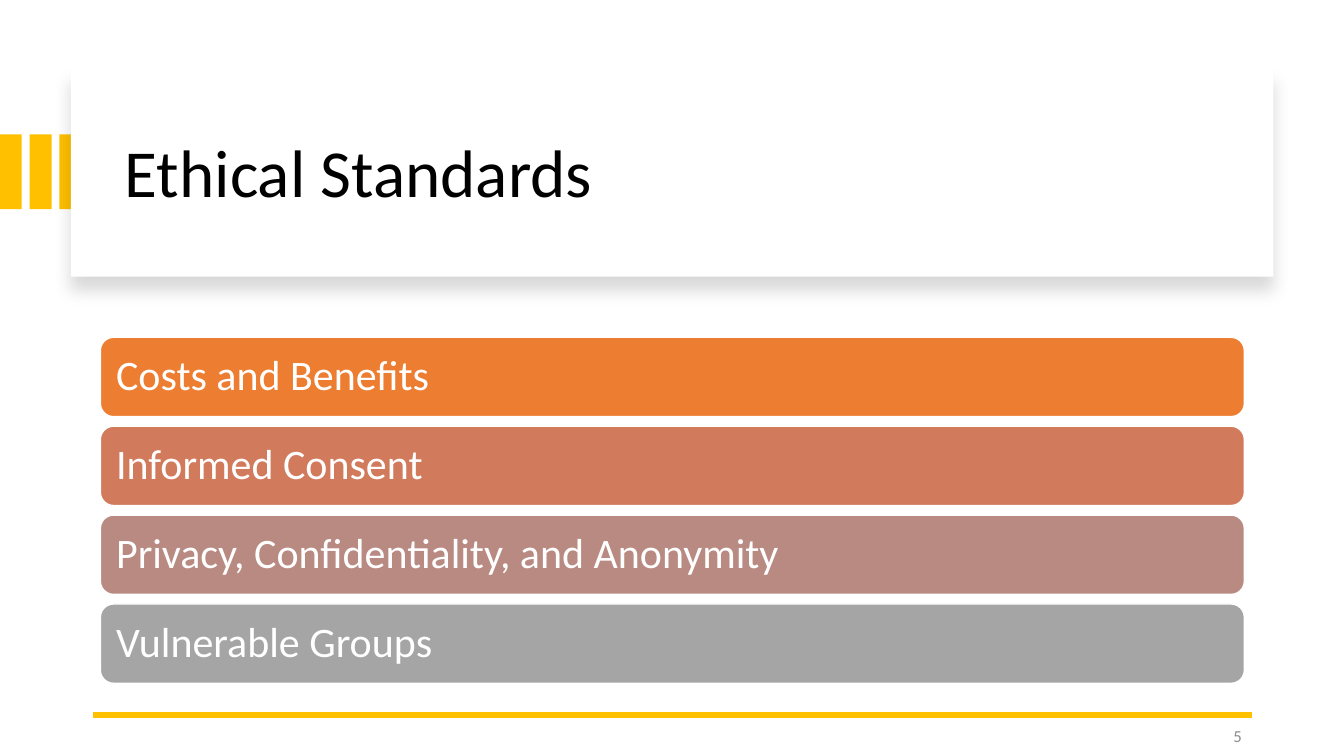
from dataclasses import dataclass

from lxml.etree import SubElement
from pptx import Presentation
from pptx.dml.color import RGBColor
from pptx.enum.shapes import MSO_CONNECTOR, MSO_SHAPE
from pptx.enum.text import MSO_ANCHOR, MSO_AUTO_SIZE, PP_ALIGN
from pptx.oxml.ns import qn
from pptx.util import Cm, Pt


@dataclass(frozen=True)
class Theme:
    font: str = "Calibri"
    accent: str = "FFC000"
    paper: str = "FFFFFF"
    ink: str = "000000"
    muted: str = "8C8C8C"
    title_size: int = 48
    standard_size: int = 30
    number_size: int = 12


STANDARDS = [
    ("Costs and Benefits", "ED7D31"),
    ("Informed Consent", "D17B5C"),
    ("Privacy, Confidentiality, and Anonymity", "B98A82"),
    ("Vulnerable Groups", "A5A5A5"),
]


def write_text(shape, text, size, color, font, align=PP_ALIGN.LEFT,
               inset=(0.25, 0.13), line_spacing=0.9):
    """Fill a shape with one vertically centred paragraph; inset is (sides, top and bottom) in cm."""
    frame = shape.text_frame
    frame.word_wrap = True
    frame.auto_size = MSO_AUTO_SIZE.NONE
    frame.vertical_anchor = MSO_ANCHOR.MIDDLE
    frame.margin_left = frame.margin_right = Cm(inset[0])
    frame.margin_top = frame.margin_bottom = Cm(inset[1])
    para = frame.paragraphs[0]
    para.alignment = align
    para.line_spacing = line_spacing
    span = para.add_run()
    span.text = text
    span.font.name = font
    span.font.size = Pt(size)
    span.font.color.rgb = RGBColor.from_string(color)


def add_soft_shadow(shape, color):
    effects = shape.element.spPr.find(qn("a:effectLst"))
    shadow = SubElement(effects, qn("a:outerShdw"), blurRad=str(Pt(11)),
                        dist=str(Pt(10)), dir="5400000", algn="t", rotWithShape="0")
    tint = SubElement(shadow, qn("a:srgbClr"), val=color)
    SubElement(tint, qn("a:alpha"), val="15000")


class SlideBuilder:
    def __init__(self, page, theme):
        self.page = page
        self.theme = theme

    def block(self, left, top, width, height, fill, kind=MSO_SHAPE.RECTANGLE, outline=None):
        box = self.page.shapes.add_shape(kind, Cm(left), Cm(top), Cm(width), Cm(height))
        box.shadow.inherit = False
        box.fill.solid()
        box.fill.fore_color.rgb = RGBColor.from_string(fill)
        if outline:
            box.line.color.rgb = RGBColor.from_string(outline)
            box.line.width = Pt(1)
        else:
            box.line.fill.background()
        return box

    def title(self, text, left, top, width, height):
        """Format the title placeholder and bring it in front of the panel."""
        title = self.page.shapes.title
        title.left, title.top = Cm(left), Cm(top)
        title.width, title.height = Cm(width), Cm(height)
        write_text(title, text, self.theme.title_size, self.theme.ink, self.theme.font)
        title.element.getparent().append(title.element)

    def rule(self, start, end, y):
        line = self.page.shapes.add_connector(
            MSO_CONNECTOR.STRAIGHT, Cm(start), Cm(y), Cm(end), Cm(y))
        line.line.color.rgb = RGBColor.from_string(self.theme.accent)
        line.line.width = Pt(4.5)
        SubElement(line.element.spPr, qn("a:effectLst"))

    def page_number(self, text, left, top, width, height):
        box = self.page.shapes.add_textbox(Cm(left), Cm(top), Cm(width), Cm(height))
        write_text(box, text, self.theme.number_size, self.theme.muted, self.theme.font,
                   align=PP_ALIGN.RIGHT, line_spacing=1.0)
        box.text_frame.paragraphs[0].space_after = Pt(6)

    def standard(self, text, fill, left, top, width, height):
        bar = self.block(left, top, width, height, fill,
                         MSO_SHAPE.ROUNDED_RECTANGLE, self.theme.paper)
        write_text(bar, text, self.theme.standard_size, self.theme.paper, self.theme.font,
                   inset=(0.3, 0.3))


def main():
    deck = Presentation()
    deck.slide_width, deck.slide_height = Cm(33.87), Cm(19.05)
    page = deck.slides.add_slide(deck.slide_layouts[5])
    theme = Theme()
    builder = SlideBuilder(page, theme)

    for index in range(3):
        builder.block(index * 0.75, 3.39, 0.55, 1.88, theme.accent)
    panel = builder.block(1.79, 1.7, 30.3, 5.27, theme.paper)
    add_soft_shadow(panel, theme.ink)
    builder.title("Ethical Standards", 2.9, 2.26, 28.27, 4.32)

    builder.rule(31.55, 2.34, 18.02)
    builder.page_number("5", 23.93, 18.03, 7.62, 1.02)

    for index, (text, fill) in enumerate(STANDARDS):
        builder.standard(text, fill, 2.53, 8.5 + index * 2.24, 28.83, 2)

    deck.save("out.pptx")


if __name__ == "__main__":
    main()
